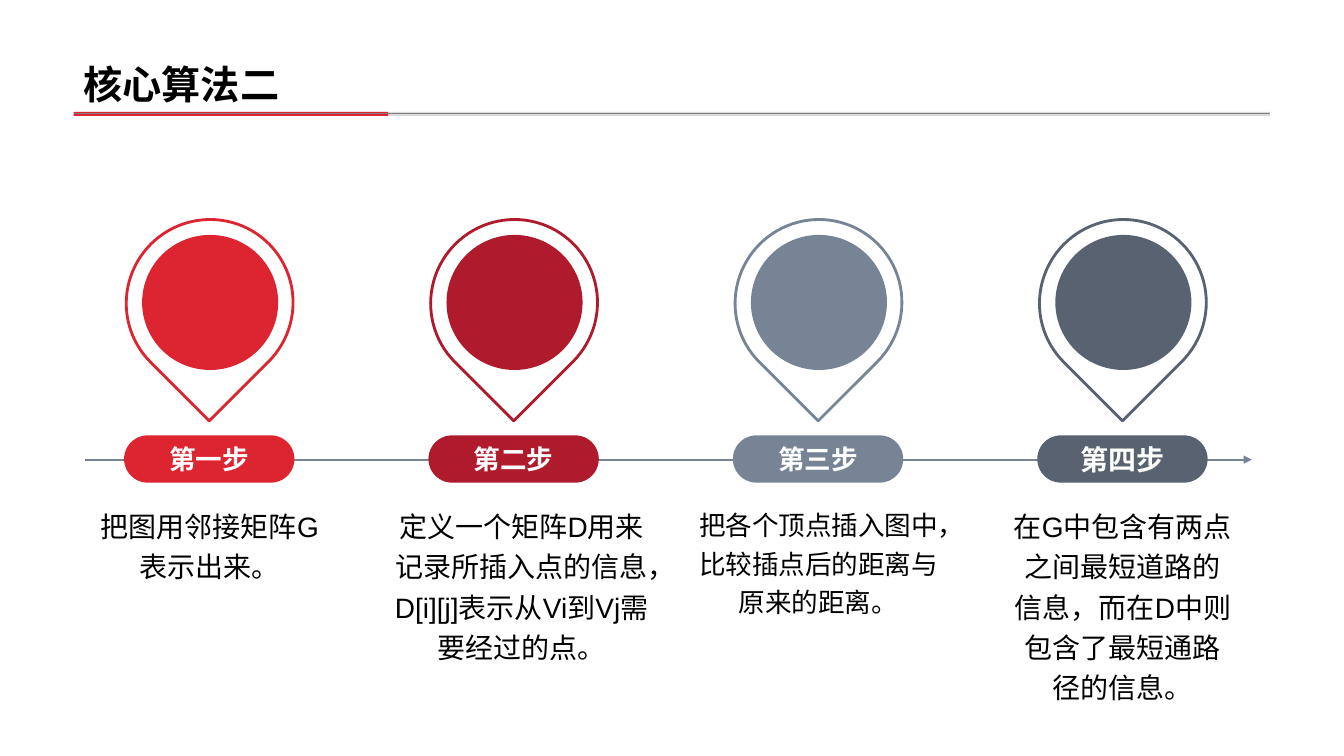
from dataclasses import dataclass
from typing import Optional

from lxml.etree import SubElement
from pptx import Presentation
from pptx.dml.color import RGBColor
from pptx.enum.shapes import MSO_CONNECTOR as Link, MSO_SHAPE as Kind
from pptx.enum.text import MSO_ANCHOR as Anchor, PP_ALIGN as Align
from pptx.oxml.ns import qn
from pptx.util import Pt

FONT = "Arial"
PITCH = 217.44
Box = tuple[float, float, float, float]


@dataclass
class Step:
    name: str
    color: str
    size: float
    note: str
    left: float
    width: float
    note_size: float


STEPS = [
    Step("第一步", "DD2431", 19, "把图用邻接矩阵G表示出来。", 63.4, 172.8, 20),
    Step("第二步", "AF1B2D", 19,
         "定义一个矩阵D用来记录所插入点的信息，D[i][j]表示从Vi到Vj需要经过的点。",
         270.7, 203.8, 20),
    Step("第三步", "778495", 19,
         "把各个顶点插入图中，比较插点后的距离与原来的距离。", 490.3, 188.6, 19),
    Step("第四步", "586270", 20,
         "在G中包含有两点之间最短道路的信息，而在D中则包含了最短通路径的信息。",
         715.7, 172.8, 20),
]


def paint(target, color: str) -> None:
    """Give a fill or a line one solid colour."""
    target.solid()
    target.fore_color.rgb = RGBColor.from_string(color)


def add_shape(slide, kind, box: Box, fill: str, edge: Optional[str] = None):
    shape = slide.shapes.add_shape(kind, *map(Pt, box))
    shape.shadow.inherit = False
    paint(shape.fill, fill)
    if edge:
        paint(shape.line.fill, edge)
        shape.line.width = Pt(2)
    else:
        shape.line.fill.background()
    return shape


def add_line(slide, left: float, right: float, y: float, color: str,
             width: float, arrow: bool = False) -> None:
    line = slide.shapes.add_connector(
        Link.STRAIGHT, Pt(left), Pt(y), Pt(right), Pt(y))
    paint(line.line.fill, color)
    line.line.width = Pt(width)
    if arrow:
        SubElement(line.line._get_or_add_ln(), qn("a:tailEnd"), type="triangle")
    SubElement(line._element.spPr, qn("a:effectLst"))


def set_text(shape, text: str, size: float, color: str, bold: bool = False,
             align=Align.CENTER, anchor=Anchor.TOP, space: float = 1,
             wrap: bool = True) -> None:
    frame = shape.text_frame
    frame.word_wrap = wrap
    frame.vertical_anchor = anchor
    frame.text = text
    para = frame.paragraphs[0]
    para.alignment = align
    para.line_spacing = space
    font = para.runs[0].font
    font.name, font.size, font.bold = FONT, Pt(size), bold
    font.color.rgb = RGBColor.from_string(color)


def add_text(slide, box: Box, text: str, size: float, **style) -> None:
    area = slide.shapes.add_textbox(*map(Pt, box))
    set_text(area, text, size, "000000", **style)


def add_head(slide) -> None:
    add_shape(slide, Kind.RECTANGLE, (56.2, 80, 851, 2.9), "D9D9D9")
    add_shape(slide, Kind.RECTANGLE, (52.6, 80, 224.6, 2.9), "DD2431")
    add_line(slide, 52.6, 907.2, 80.6, "808080", 0.25)
    add_text(slide, (52.6, 0, 854.6, 80.6), "核心算法二", 28, bold=True,
             align=Align.LEFT, anchor=Anchor.BOTTOM, space=0.9)


def add_step(slide, step: Step, shift: float) -> None:
    pin = add_shape(slide, Kind.TEAR, (90 + shift, 157, 119.5, 118.8),
                    "FFFFFF", step.color)
    pin.rotation = 135
    add_shape(slide, Kind.OVAL, (101.5 + shift, 167.8, 97.2, 96.5), step.color)
    pill = add_shape(slide, Kind.ROUNDED_RECTANGLE,
                     (88.6 + shift, 311, 121.7, 33.8), step.color)
    pill.adjustments[0] = 0.5
    set_text(pill, step.name, step.size, "FFFFFF", bold=True,
             anchor=Anchor.MIDDLE, wrap=False)
    add_text(slide, (step.left, 355.7, step.width, 43.9), step.note,
             step.note_size, space=1.2)


def main() -> None:
    deck = Presentation()
    deck.slide_width, deck.slide_height = Pt(960), Pt(540)
    slide = deck.slides.add_slide(deck.slide_layouts[6])
    add_head(slide)
    add_line(slide, 60.5, 894.2, 328.3, "778495", 1.5, arrow=True)
    for rank, step in enumerate(STEPS):
        add_step(slide, step, rank * PITCH)
    deck.save("out.pptx")


if __name__ == "__main__":
    main()
